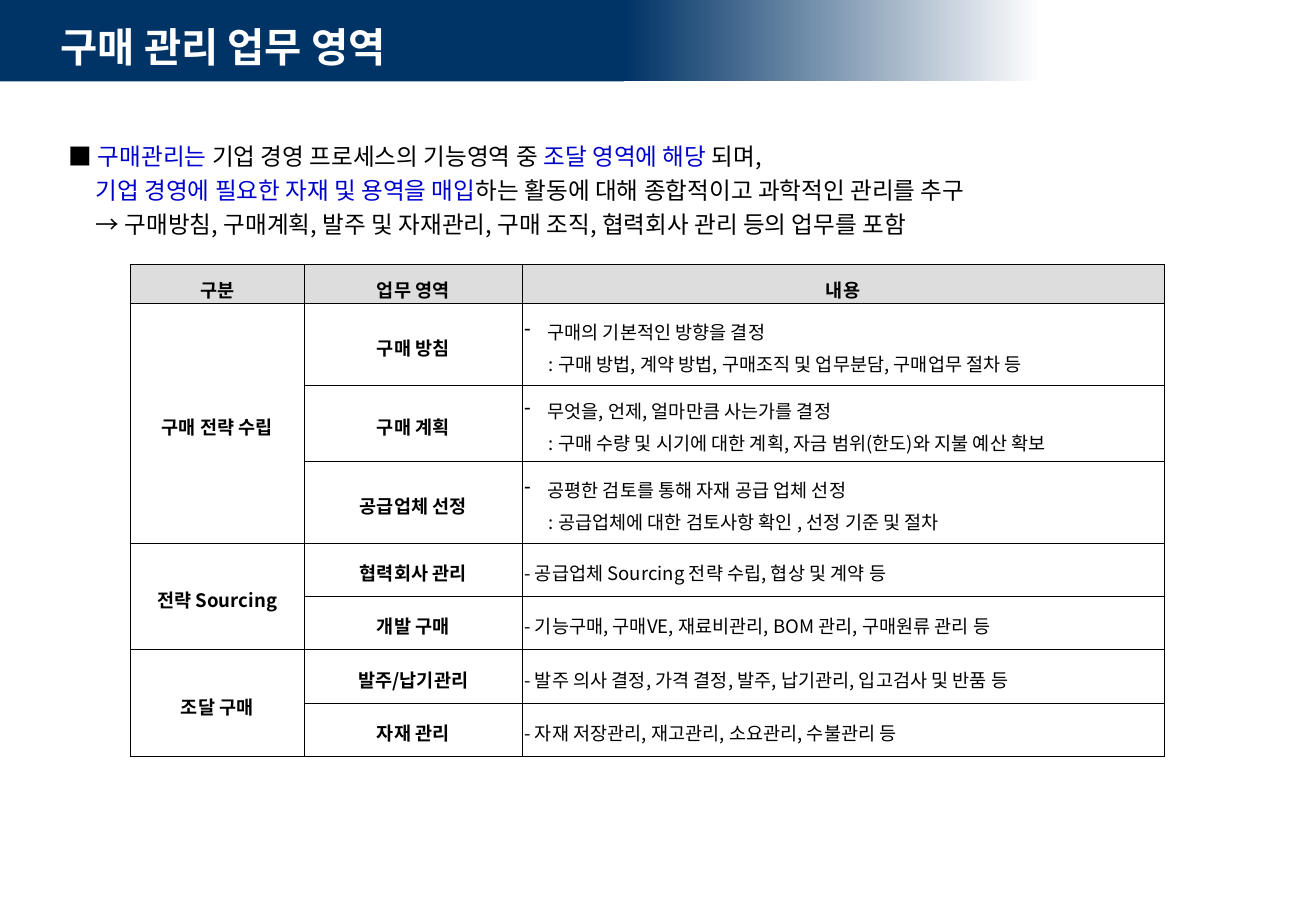
import pptx
import pptx.util
import pptx.dml.color
import pptx.enum.shapes
import pptx.enum.text
import pptx.oxml
import pptx.oxml.ns

Inches = pptx.util.Inches
ALIGN = pptx.enum.text.PP_ALIGN
THEME = {
    "navy": "003366", "white": "FFFFFF", "black": "000000", "blue": "0000CC", "header": "DDDDDD",
    "font": "Noto Sans CJK KR", "header_font": "Arial",
    "title_size": 24, "summary_size": 14, "table_size": 11, "border_width": 0.45,
}


def color(name):
    return pptx.dml.color.RGBColor.from_string(THEME[name])


def format_run(run, size, color_name="black", bold=False, font="font"):
    run.font.size = pptx.util.Pt(THEME[size])
    run.font.name = THEME[font]
    run.font.bold = bold
    run.font.color.rgb = color(color_name)
    east_asian = pptx.oxml.parse_xml(
        f'<a:ea {pptx.oxml.ns.nsdecls("a")} typeface="{THEME["font"]}"/>')
    run.font._element.find(pptx.oxml.ns.qn("a:latin")).addnext(east_asian)


presentation = pptx.Presentation()
presentation.slide_width = Inches(10.84)
presentation.slide_height = Inches(7.5)
slide = presentation.slides.add_slide(presentation.slide_layouts[6])

for left, width in ((5.14, 3.44), (0, 5.14)):
    band = slide.shapes.add_shape(
        pptx.enum.shapes.MSO_SHAPE.RECTANGLE, Inches(left), 0, Inches(width), Inches(0.67))
    band.shadow.inherit = False
    band.line.fill.background()
    if left:
        band.fill.gradient()
        band.fill.gradient_angle = 0
        for stop, position, name in zip(band.fill.gradient_stops, (0, 1), ("navy", "white")):
            stop.position = position
            stop.color.rgb = color(name)
    else:
        band.fill.solid()
        band.fill.fore_color.rgb = color("navy")

title = slide.shapes.add_textbox(Inches(0.4), Inches(0.13), Inches(5.57), Inches(0.5))
title.text_frame.word_wrap = True
title.text_frame.text = "구매 관리 업무 영역"
format_run(title.text_frame.paragraphs[0].runs[0], "title_size", "white", True)

summary_lines = [
    (0, [("■ ", "black"), ("구매관리는", "blue"), (" 기업 경영 프로세스의 기능영역 중 ", "black"),
         ("조달 영역에 해당 ", "blue"), ("되며,", "black")]),
    (0.22, [("기업 경영에 필요한 자재 및 용역을 매입", "blue"),
            ("하는 활동에 대해 종합적이고 과학적인 관리를 추구", "black")]),
    (0.22, [("→ 구매방침, 구매계획, 발주 및 자재관리, 구매 조직, 협력회사 관리 등의 업무를 포함", "black")]),
]
summary = slide.shapes.add_textbox(Inches(0.47), Inches(1.07), Inches(9.44), Inches(0.94))
summary.text_frame.word_wrap = True
for index, (indent, parts) in enumerate(summary_lines):
    paragraph = summary.text_frame.add_paragraph() if index else summary.text_frame.paragraphs[0]
    paragraph.alignment = ALIGN.JUSTIFY
    paragraph.line_spacing = 1.2
    paragraph._p.get_or_add_pPr().set("marL", str(Inches(indent)))
    for text, name in parts:
        run = paragraph.add_run()
        run.text = text
        format_run(run, "summary_size", name)

table_rows = [
    ("구분", "업무 영역", "내용"),
    ("구매 전략 수립", "구매 방침",
     "구매의 기본적인 방향을 결정\n: 구매 방법, 계약 방법, 구매조직 및 업무분담, 구매업무 절차 등"),
    ("", "구매 계획",
     "무엇을, 언제, 얼마만큼 사는가를 결정\n: 구매 수량 및 시기에 대한 계획, 자금 범위(한도)와 지불 예산 확보"),
    ("", "공급업체 선정",
     "공평한 검토를 통해 자재 공급 업체 선정\n: 공급업체에 대한 검토사항 확인 , 선정 기준 및 절차"),
    ("전략 Sourcing", "협력회사 관리", "- 공급업체 Sourcing 전략 수립, 협상 및 계약 등"),
    ("", "개발 구매", "- 기능구매, 구매VE, 재료비관리, BOM 관리, 구매원류 관리 등"),
    ("조달 구매", "발주/납기관리", "- 발주 의사 결정, 가격 결정, 발주, 납기관리, 입고검사 및 반품 등"),
    ("", "자재 관리", "- 자재 저장관리, 재고관리, 소요관리, 수불관리 등"),
]
column_widths = (1.44, 1.79, 5.29)
row_heights = (0.31, 0.67, 0.63, 0.67, 0.44, 0.44, 0.44, 0.44)
table = slide.shapes.add_table(
    len(row_heights), len(column_widths), Inches(1.07), Inches(2.18),
    Inches(sum(column_widths)), Inches(sum(row_heights))).table
table.first_row = False
table.horz_banding = False
for column, width in zip(table.columns, column_widths):
    column.width = Inches(width)
for row, height in zip(table.rows, row_heights):
    row.height = Inches(height)
for first, last in ((1, 3), (4, 5), (6, 7)):
    table.cell(first, 0).merge(table.cell(last, 0))

for row_index, texts in enumerate(table_rows):
    is_header = row_index == 0
    for column_index, text in enumerate(texts):
        cell = table.cell(row_index, column_index)
        is_content = column_index == 2 and not is_header
        cell.vertical_anchor = pptx.enum.text.MSO_ANCHOR.MIDDLE
        if not is_header:
            cell.margin_left = cell.margin_right = Inches(0.02)
        for side in ("lnL", "lnR", "lnT", "lnB"):
            cell._tc.get_or_add_tcPr().append(pptx.oxml.parse_xml(
                f'<a:{side} {pptx.oxml.ns.nsdecls("a")} w="{pptx.util.Pt(THEME["border_width"])}">'
                f'<a:solidFill><a:srgbClr val="{THEME["black"]}"/></a:solidFill></a:{side}>'))
        if is_header:
            cell.fill.solid()
            cell.fill.fore_color.rgb = color("header")
        else:
            cell.fill.background()
        if not text:
            continue
        cell.text_frame.text = text
        has_bullet = len(cell.text_frame.paragraphs) > 1
        for index, paragraph in enumerate(cell.text_frame.paragraphs):
            paragraph.alignment = ALIGN.LEFT if is_content else ALIGN.CENTER
            paragraph.line_spacing = 1.2
            properties = paragraph._p.get_or_add_pPr()
            if has_bullet:
                properties.set("marL", str(Inches(0.2 if index else 0.19)))
            if has_bullet and index == 0:
                properties.set("indent", str(Inches(-0.19)))
                for bullet in (f'buClr {pptx.oxml.ns.nsdecls("a")}><a:srgbClr val="{THEME["black"]}"/></a:buClr>',
                               f'buChar {pptx.oxml.ns.nsdecls("a")} char="-"/>'):
                    properties.append(pptx.oxml.parse_xml("<a:" + bullet))
            format_run(paragraph.runs[0], "table_size", bold=not is_content,
                       font="header_font" if is_header else "font")

presentation.save("out.pptx")
